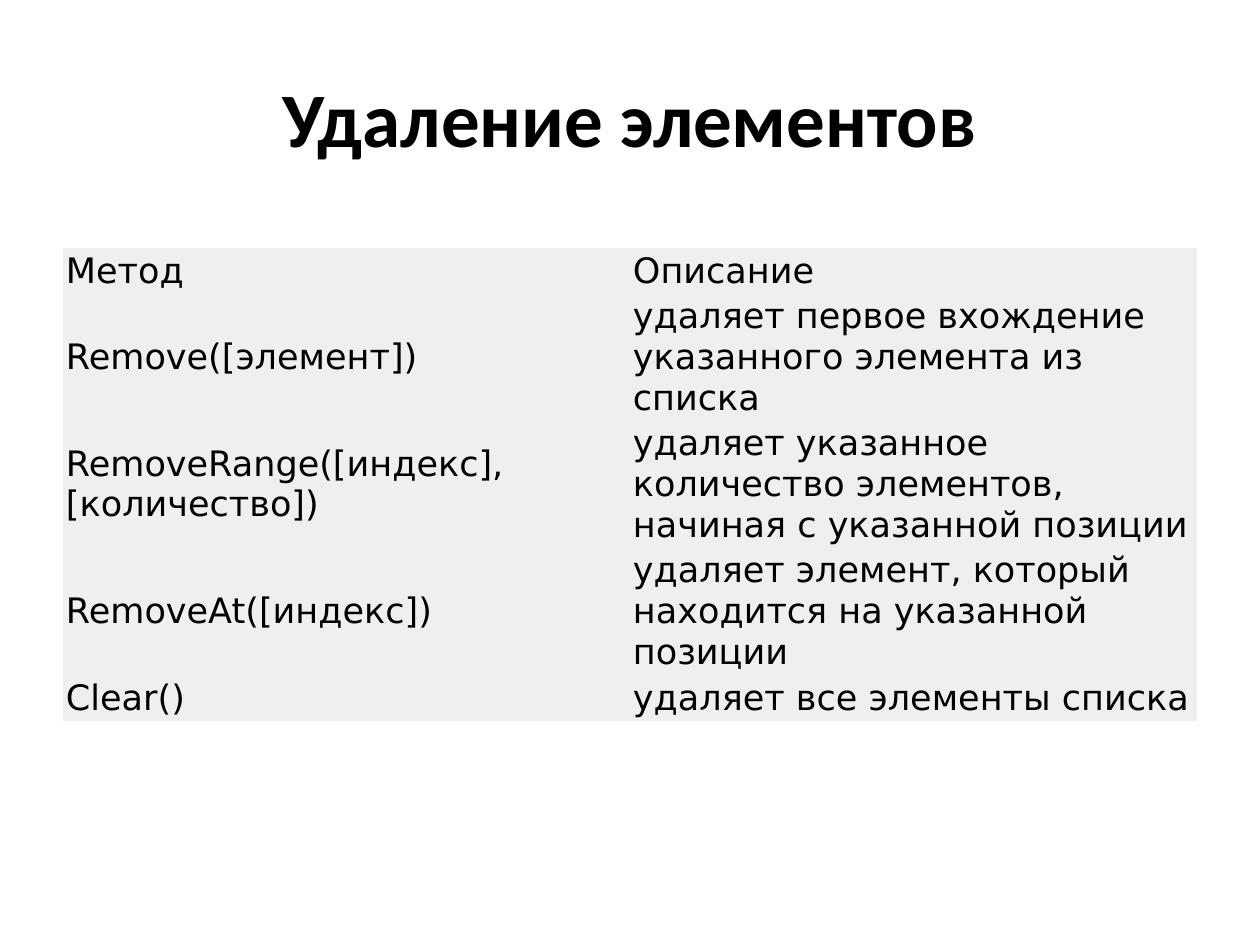
from pptx import Presentation
from pptx import util as u
from pptx.dml.color import RGBColor
from pptx.enum import text
from pptx.oxml.ns import qn

PX = 914400 / 126
COLORS = {"ink": "000000", "cell": "EEEFF0"}
NO_STYLE = "{2D5ABB26-0587-4C30-8999-92F81FD0307C}"
TITLE_FONT = {"name": "Calibri", "size": u.Pt(44), "bold": True}
CELL_FONT = {"name": "DejaVu Sans", "size": u.Pt(20), "bold": False}
CELL_FORMAT = {
    "margin_left": 3,
    "margin_right": 3,
    "margin_top": 2,
    "margin_bottom": 2,
}
LINE_HEIGHTS = {1: 46, 3: 127}
METHODS = [
    ("Метод", "Описание", 1),
    ("Remove([элемент])",
     "удаляет первое вхождение указанного элемента из списка", 3),
    ("RemoveRange([индекс], [количество])",
     "удаляет указанное количество элементов, начиная с указанной позиции", 3),
    ("RemoveAt([индекс])",
     "удаляет элемент, который находится на указанной позиции", 3),
    ("Clear()", "удаляет все элементы списка", 1),
]


def px(length):
    return u.Emu(round(length * PX))


def color(name):
    return RGBColor.from_string(COLORS[name])


def write(para, wording, font_values, align):
    para.alignment = align
    span = para.add_run()
    span.text = wording
    for key, value in font_values.items():
        setattr(span.font, key, value)
    span.font.color.rgb = color("ink")


def add_title(page, wording):
    title = page.shapes.title
    place = {"left": 63, "top": 38, "width": 1134, "height": 157}
    for key, value in place.items():
        setattr(title, key, px(value))
    frame = title.text_frame
    frame.word_wrap = True
    frame.vertical_anchor = text.MSO_ANCHOR.MIDDLE
    write(frame.paragraphs[0], wording, TITLE_FONT, text.PP_ALIGN.CENTER)


def fill_cell(cell, wording):
    for key, value in CELL_FORMAT.items():
        setattr(cell, key, px(value))
    cell.vertical_anchor = text.MSO_ANCHOR.MIDDLE
    cell.fill.solid()
    cell.fill.fore_color.rgb = color("cell")
    write(cell.text_frame.paragraphs[0], wording, CELL_FONT, text.PP_ALIGN.LEFT)


def add_method_table(page, methods):
    heights = [LINE_HEIGHTS[lines] for *_, lines in methods]
    frame = page.shapes.add_table(
        len(methods), 2, px(63), px(248), px(1134), px(sum(heights)))
    table = frame.table
    table.first_row = False
    table.horz_banding = False
    frame.element.find(f".//{qn('a:tableStyleId')}").text = NO_STYLE
    for row, height, (method, description, _) in zip(table.rows, heights, methods):
        row.height = px(height)
        for cell, wording in zip(row.cells, (method, description)):
            fill_cell(cell, wording)


def main():
    deck = Presentation()
    deck.slide_width = px(1260)
    deck.slide_height = px(945)
    page = deck.slides.add_slide(deck.slide_layouts.get_by_name("Title Only"))
    add_title(page, "Удаление элементов")
    add_method_table(page, METHODS)
    deck.save("out.pptx")


if __name__ == "__main__":
    main()
